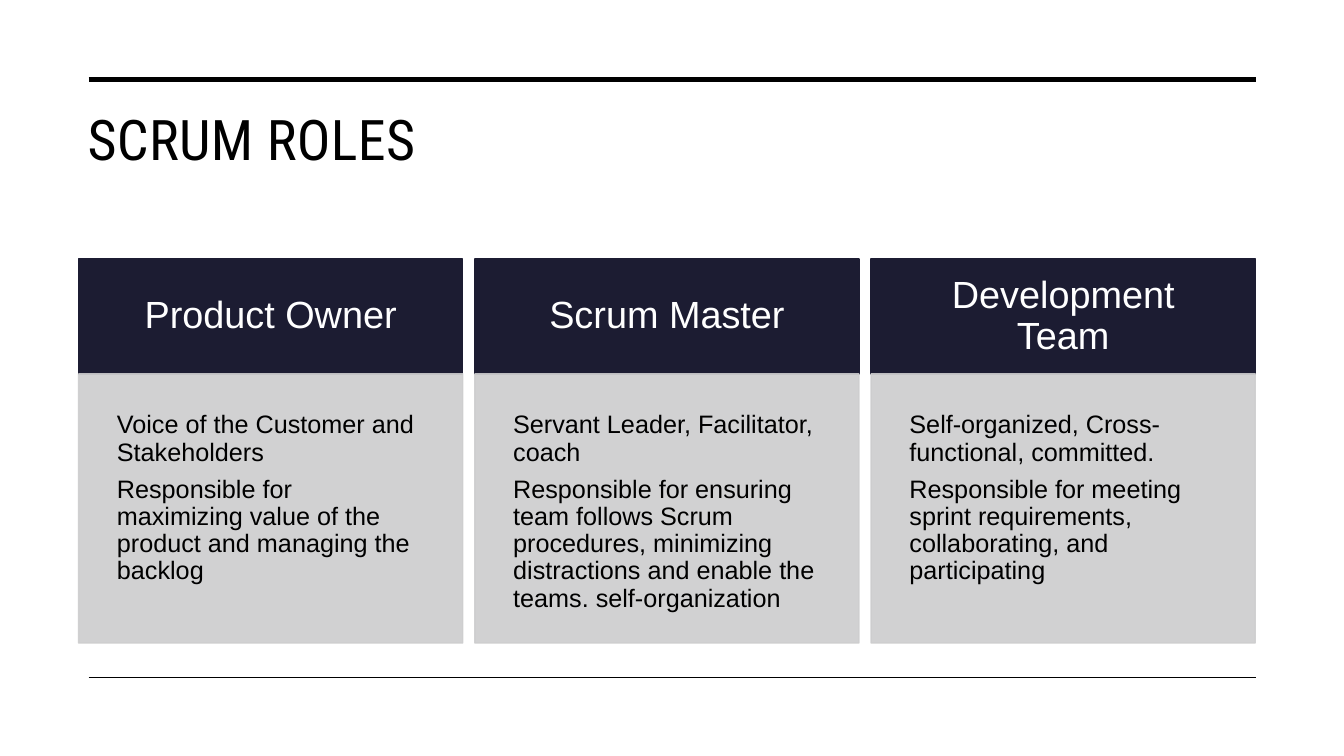
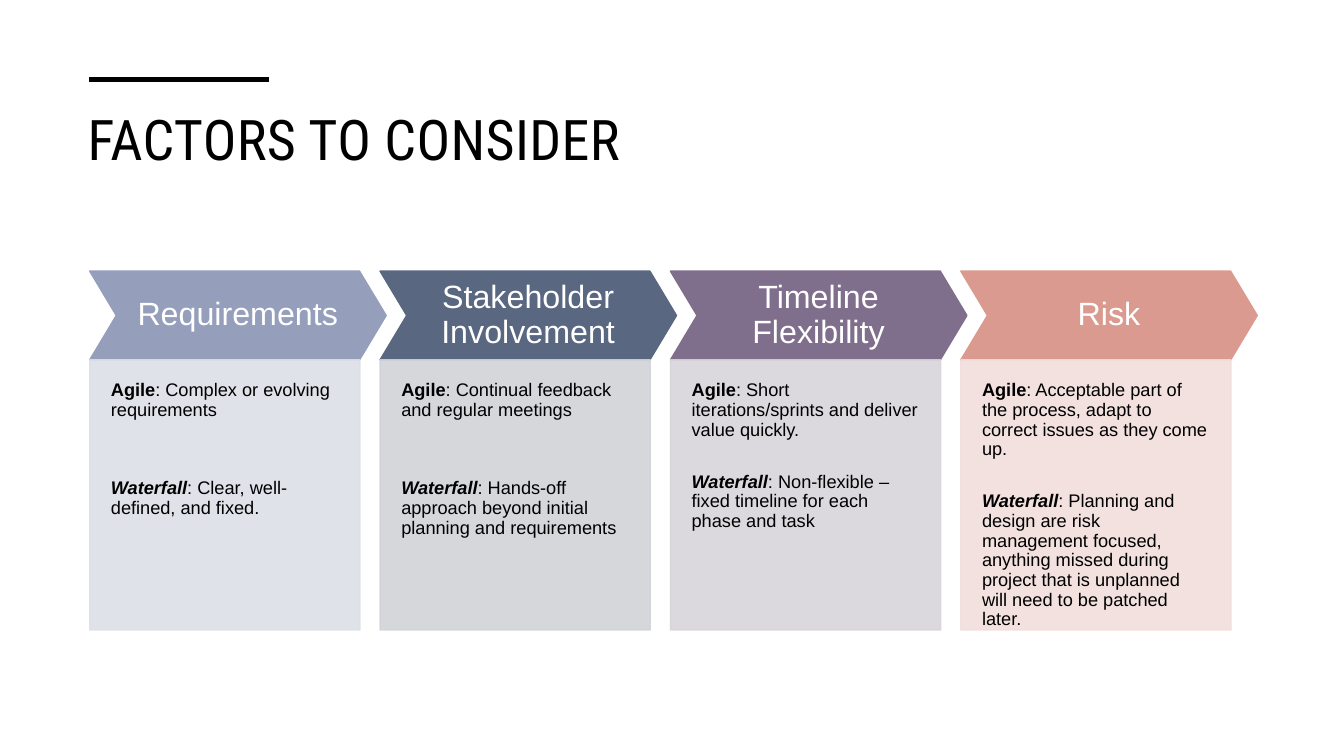
from dataclasses import dataclass

from lxml.etree import SubElement
from pptx import Presentation
from pptx.dml.color import RGBColor as RGB
from pptx.enum.shapes import MSO_CONNECTOR as CONN, MSO_SHAPE as SHAPE
from pptx.enum.text import MSO_ANCHOR as ANCHOR, PP_ALIGN as ALIGN
from pptx.oxml.ns import qn
from pptx.util import Emu, Pt

PX = 9144


@dataclass(frozen=True)
class Theme:
    ink: str = "000000"
    white: str = "FFFFFF"
    role_head: str = "1C1C32"
    role_body: str = "CDCDCE"
    title_font: str = "Roboto Condensed"
    body_font: str = "Arial"
    title_size: int = 40
    role_size: int = 27
    duty_size: int = 18
    factor_size: int = 23
    note_size: int = 13
    thick: float = 3.5
    thin: float = 1
    body_alpha: int = 90


T = Theme()

ROLES = [
    ("Product Owner",
     ["Voice of the Customer and Stakeholders",
      "Responsible for maximizing value of the product and managing the backlog"]),
    ("Scrum Master",
     ["Servant Leader, Facilitator, coach",
      "Responsible for ensuring team follows Scrum procedures, minimizing "
      "distractions and enable the teams. self-organization"]),
    ("Development Team",
     ["Self-organized, Cross-functional, committed.",
      "Responsible for meeting sprint requirements, collaborating, and participating"]),
]

FACTORS = [
    ("Requirements", "959EBB", "DDDFE7", 42,
     "Complex or evolving requirements",
     "Clear, well-defined, and fixed."),
    ("Stakeholder Involvement", "596781", "D1D3D8", 42,
     "Continual feedback and regular meetings",
     "Hands-off approach beyond initial planning and requirements"),
    ("Timeline Flexibility", "7F6E8C", "D8D5DA", 23,
     "Short iterations/sprints and deliver value quickly.",
     "Non-flexible – fixed timeline for each phase and task"),
    ("Risk", "DB9A8F", "F1DEDB", 23,
     "Acceptable part of the process, adapt to correct issues as they come up.",
     "Planning and design are risk management focused, anything missed during "
     "project that is unplanned will need to be patched later."),
]


def px(*values):
    return [Emu(v * PX) for v in values]


def add_run(p, text, size, color=T.ink, font=T.body_font, bold=False, italic=False, spc=0):
    r = p.add_run()
    r.text = text
    f = r.font
    f.size, f.name, f.bold, f.italic = Pt(size), font, bold, italic
    f.color.rgb = RGB.from_string(color)
    if spc:
        r._r.get_or_add_rPr().set("spc", str(spc))


def add_par(tf, first=False, align=ALIGN.LEFT, before=0, after=0):
    p = tf.paragraphs[0] if first else tf.add_paragraph()
    p.alignment, p.line_spacing = align, 0.9
    p.space_before, p.space_after = Pt(before), Pt(after)
    return p


def set_frame(tf, anchor, insets):
    tf.word_wrap, tf.vertical_anchor = True, anchor
    tf.margin_left, tf.margin_top, tf.margin_right, tf.margin_bottom = px(*insets)


def add_panel(s, box, color, kind=SHAPE.RECTANGLE, alpha=100, anchor=ANCHOR.TOP, insets=(0, 0, 0, 0)):
    sp = s.shapes.add_shape(kind, *px(*box))
    sp.shadow.inherit = False
    sp.line.width = Pt(T.thin)
    for fill in (sp.fill, sp.line.fill):
        fill.solid()
        fill.fore_color.rgb = RGB.from_string(color)
    if alpha < 100:
        for clr in sp._element.spPr.iter(qn("a:srgbClr")):
            SubElement(clr, qn("a:alpha")).set("val", str(alpha * 1000))
    set_frame(sp.text_frame, anchor, insets)
    return sp


def add_heading(s, box, text, size, color, kind=SHAPE.RECTANGLE, inset=0):
    sp = add_panel(s, box, color, kind, anchor=ANCHOR.MIDDLE, insets=(inset, 0, inset, 0))
    add_run(add_par(sp.text_frame, True, ALIGN.CENTER), text, size, T.white)
    return sp


def add_rule(s, x, y, w, weight):
    c = s.shapes.add_connector(CONN.STRAIGHT, *px(x, y, x + w, y))
    c.line.width = Pt(weight)
    c.line.color.rgb = RGB.from_string(T.ink)
    SubElement(c._element.spPr, qn("a:effectLst"))


def add_titled_slide(prs, title, rule_w):
    s = prs.slides.add_slide(prs.slide_layouts[6])
    tf = s.shapes.add_textbox(*px(77, 99, 1169, 126)).text_frame
    set_frame(tf, ANCHOR.TOP, (10, 5, 10, 5))
    add_run(tf.paragraphs[0], title, T.title_size, font=T.title_font, spc=30)
    add_rule(s, 88, 79, rule_w, T.thick)
    return s


def add_role(s, x, y, w, h, role, duties):
    head_h = 114
    add_heading(s, (x, y, w, head_h), role, T.role_size, T.role_head, inset=30)
    body = add_panel(s, (x, y + head_h, w, h - head_h), T.role_body,
                     alpha=T.body_alpha, insets=(38, 38, 38, 0))
    for i, duty in enumerate(duties):
        add_run(add_par(body.text_frame, i == 0, after=7), duty, T.duty_size)


def add_factor(s, x, y, w, h, factor, dark, pale, gap, agile, waterfall):
    head_h, tip = 88, 26
    head = add_heading(s, (x, y, w + tip, head_h), factor, T.factor_size, dark,
                       SHAPE.CHEVRON, inset=11)
    head.adjustments[0] = 0.3
    body = add_panel(s, (x, y + head_h, w, h - head_h), pale,
                     alpha=T.body_alpha, insets=(21, 21, 21, 0))
    notes = [("Agile", agile, False, 0), ("Waterfall", waterfall, True, gap)]
    for i, (method, note, italic, before) in enumerate(notes):
        p = add_par(body.text_frame, i == 0, before=before)
        add_run(p, method, T.note_size, bold=True, italic=italic)
        add_run(p, ": " + note, T.note_size)


def roles_slide(prs):
    s = add_titled_slide(prs, "SCRUM ROLES", 1158)
    add_rule(s, 88, 672, 1158, T.thin)
    for i, role in enumerate(ROLES):
        add_role(s, 78 + i * 393, 257, 381, 381, *role)


def factors_slide(prs):
    s = add_titled_slide(prs, "FACTORS TO CONSIDER", 179)
    for i, factor in enumerate(FACTORS):
        add_factor(s, 89 + i * 288, 269, 268, 356, *factor)


def main():
    prs = Presentation()
    prs.slide_width, prs.slide_height = px(1333, 750)
    roles_slide(prs)
    factors_slide(prs)
    prs.save("out.pptx")


if __name__ == "__main__":
    main()
